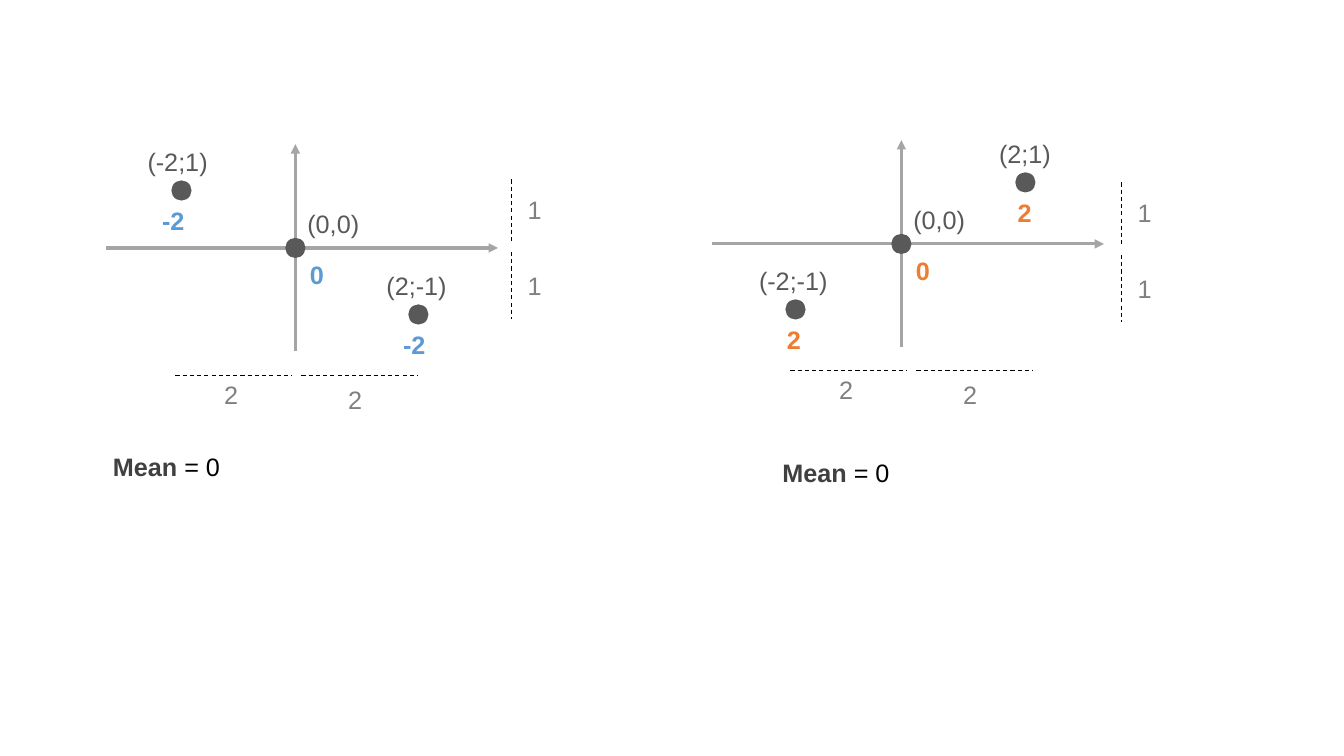
from lxml.etree import SubElement
from pptx import Presentation
from pptx.dml.color import RGBColor
from pptx.enum.dml import MSO_LINE
from pptx.enum.shapes import MSO_CONNECTOR, MSO_SHAPE
from pptx.enum.text import MSO_AUTO_SIZE
from pptx.oxml.ns import qn
from pptx.util import Inches, Pt

COLORS = {
    "axis": "A5A5A5", "point": "595959", "ruler": "000000", "length": "808080",
    "mean": "404040", "value": "000000", "blue": "5B9BD5", "orange": "ED7D31",
}
FONT = "Arial"
FONT_SIZE = Pt(18)
DOT = 0.2
LABEL_HEIGHT = 0.4
LABEL_WIDTHS = {1: 0.35, 2: 0.46, 5: 0.72, 6: 0.83, 7: 0.94}  # by character count
AXIS_WIDTH, AXIS_HEIGHT = 3.89, 2.05
ORIGIN_X, ORIGIN_Y = 1.88, 1.03


def color(name):
    return RGBColor.from_string(COLORS[name])


def add_line(slide, start, end, color_name, width):
    line = slide.shapes.add_connector(
        MSO_CONNECTOR.STRAIGHT, *(Inches(value) for value in (*start, *end)))
    line.line.color.rgb = color(color_name)
    line.line.width = Pt(width)
    SubElement(line._element.spPr, qn("a:effectLst"))
    return line


def add_axis(slide, start, end):
    axis = add_line(slide, start, end, "axis", 2.25)
    SubElement(axis.line._get_or_add_ln(), qn("a:tailEnd"), type="triangle")


def add_ruler(slide, start, end):
    add_line(slide, start, end, "ruler", 0.75).line.dash_style = MSO_LINE.DASH


def add_text_frame(slide, left, top, width, height):
    frame = slide.shapes.add_textbox(
        *(Inches(value) for value in (left, top, width, height))).text_frame
    frame.word_wrap = False
    frame.auto_size = MSO_AUTO_SIZE.SHAPE_TO_FIT_TEXT
    font = frame.paragraphs[0].font
    font.name, font.size = FONT, FONT_SIZE
    return frame


def add_label(slide, x, y, text, color_name, bold=False):
    """Place a one-line label centred on (x, y)."""
    width = LABEL_WIDTHS[len(text)]
    frame = add_text_frame(slide, x - width / 2, y - LABEL_HEIGHT / 2, width, LABEL_HEIGHT)
    paragraph = frame.paragraphs[0]
    paragraph.text = text
    paragraph.font.color.rgb = color(color_name)
    paragraph.font.bold = bold


def add_point(slide, x, y, coordinates, product, accent, label_shift, product_shift):
    """Draw a dot with its coordinates above and their product below."""
    dot = slide.shapes.add_shape(
        MSO_SHAPE.OVAL, Inches(x - DOT / 2), Inches(y - DOT / 2), Inches(DOT), Inches(DOT))
    dot.shadow.inherit = False
    dot.fill.solid()
    dot.fill.fore_color.rgb = color("point")
    dot.line.fill.background()
    add_label(slide, x + label_shift[0], y + label_shift[1], coordinates, "point")
    add_label(slide, x + product_shift[0], y + product_shift[1], product, accent, bold=True)


def add_axes_and_points(slide, left, top, accent, points):
    x, y = left + ORIGIN_X, top + ORIGIN_Y
    add_axis(slide, (x, top + AXIS_HEIGHT), (x, top))
    add_axis(slide, (left, y), (left + AXIS_WIDTH, y))
    add_point(slide, x, y, "(0,0)", "0", accent, (0.38, -0.24), (0.22, 0.26))
    for point_x, point_y, coordinates, product, label_dx, product_dx in points:
        add_point(slide, left + point_x, top + point_y, coordinates, product, accent,
                  (label_dx, -0.29), (product_dx, 0.3))


def add_horizontal_rulers(slide, left, top):
    for offset, label_dx, label_dy in ((0, 0.56, 0.18), (1.25, 0.54, 0.23)):
        start = left + offset
        add_ruler(slide, (start, top), (start + 1.16, top))
        add_label(slide, start + label_dx, top + label_dy, "2", "length")


def add_vertical_rulers(slide, left, top):
    for offset, length, label_dy in ((0, 0.61, 0.3), (0.72, 0.66, 0.33)):
        start = top + offset
        add_ruler(slide, (left, start), (left, start + length))
        add_label(slide, left + 0.24, start + label_dy, "1", "length")


def add_mean(slide, left, top):
    frame = add_text_frame(slide, left, top, 1.1, 0.3)
    frame.margin_left = frame.margin_top = frame.margin_right = frame.margin_bottom = 0
    for text, color_name, bold in (("Mean", "mean", True), (" = 0", "value", False)):
        run = frame.paragraphs[0].add_run()
        run.text = text
        run.font.bold = bold
        run.font.color.rgb = color(color_name)


def add_plot(slide, left, top, accent, points, across, upright, mean):
    """Draw one plot; all other positions are relative to its top-left corner."""
    add_axes_and_points(slide, left, top, accent, points)
    for add_part, (x, y) in ((add_horizontal_rulers, across),
                             (add_vertical_rulers, upright),
                             (add_mean, mean)):
        add_part(slide, left + x, top + y)


def main():
    presentation = Presentation()
    presentation.slide_width = Inches(13.33)
    presentation.slide_height = Inches(7.5)
    slide = presentation.slides.add_slide(presentation.slide_layouts[6])
    add_plot(slide, 1.05, 1.43, "blue",
             points=[(0.75, 0.46, "(-2;1)", "-2", -0.02, -0.06),
                     (3.1, 1.69, "(2;-1)", "-2", 0, -0.02)],
             across=(0.69, 2.3), upright=(4.02, 0.35), mean=(0.07, 3.05))
    add_plot(slide, 7.06, 1.39, "orange",
             points=[(3.11, 0.42, "(2;1)", "2", 0, 0),
                     (0.83, 1.68, "(-2;-1)", "2", 0.01, -0.01)],
             across=(0.78, 2.29), upright=(4.06, 0.42), mean=(0.7, 3.15))
    presentation.save("out.pptx")


if __name__ == "__main__":
    main()
